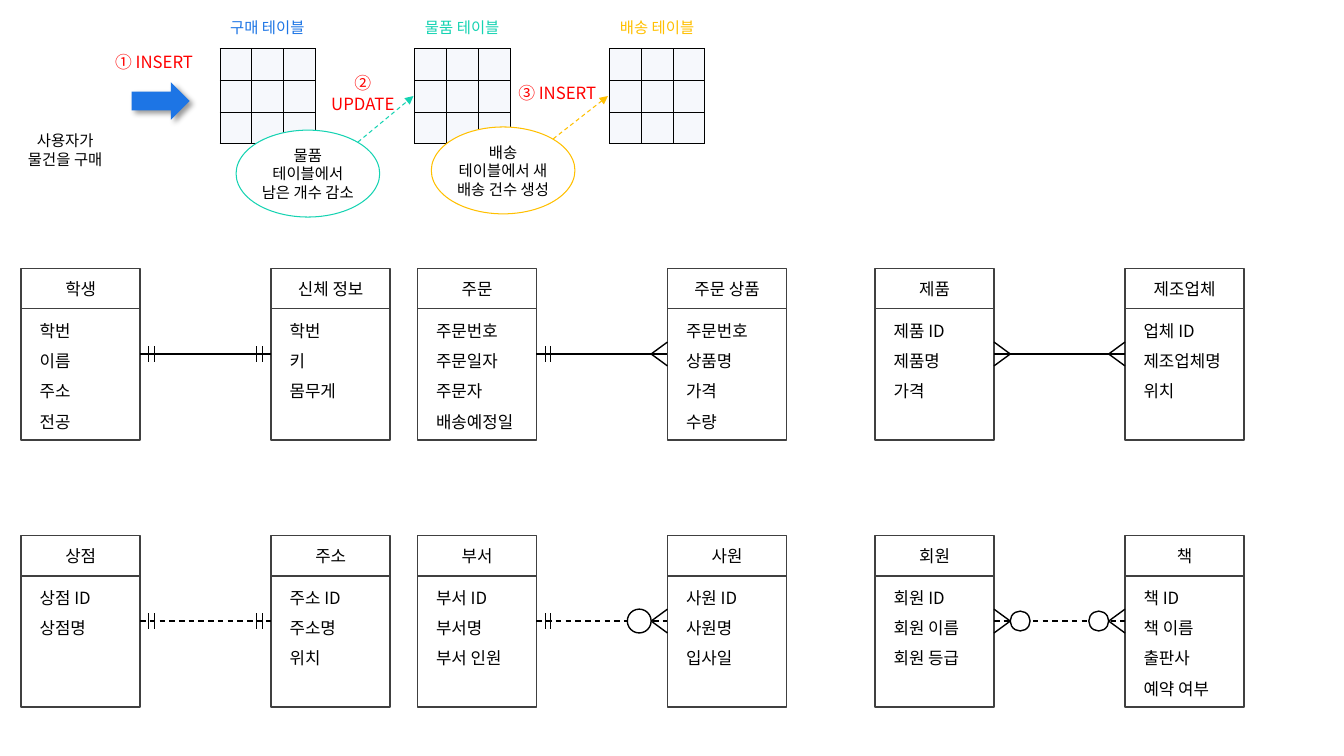
"""Build a slide of a purchase transaction flow and six entity relationships."""
from dataclasses import dataclass

from lxml import etree
from pptx import Presentation
from pptx import util as u
from pptx.dml.color import RGBColor
from pptx.enum import dml, shapes, text
from pptx.oxml.ns import qn


@dataclass(frozen=True)
class Theme:
    """Colours, font and type sizes of the slide."""
    font: str = "Noto Sans CJK KR"
    ink: str = "000000"
    frame: str = "404040"
    paper: str = "FFFFFF"
    cell: str = "F6F8FC"
    blue: str = "1D75E5"
    teal: str = "15D3B2"
    amber: str = "FFC000"
    red: str = "FF0000"
    small: int = 11
    normal: int = 12
    thin: float = 0.75
    line: float = 1


def add_xml(parent, tag, **attributes):
    """Append a DrawingML element and return it."""
    return etree.SubElement(parent, qn(tag), attributes)


class Diagram:
    """Draws styled elements on one slide, with lengths in centimetres."""
    ENTITY_W, ENTITY_H, HEADER_H, LINK_Y = 3.0, 4.33, 1.02, 2.16
    CELL = 0.8

    def __init__(self, slide, theme):
        self.shapes, self.theme = slide.shapes, theme

    def set_lines(self, frame, lines, size, color, align=text.PP_ALIGN.CENTER, spacing=None):
        """Fill a text frame with one paragraph per line."""
        for index, line in enumerate(lines):
            paragraph = frame.add_paragraph() if index else frame.paragraphs[0]
            paragraph.text, paragraph.alignment = line, align
            paragraph.line_spacing = spacing
            self.set_font(paragraph, size, color)

    def set_font(self, paragraph, size, color):
        """Set the Latin and East Asian font of a paragraph."""
        paragraph.font.size = u.Pt(size)
        paragraph.font.color.rgb = RGBColor.from_string(color)
        paragraph.font.name = self.theme.font
        properties = paragraph._p.pPr.find(qn("a:defRPr"))
        add_xml(properties, "a:ea", typeface=self.theme.font)

    def label(self, x, y, w, caption, size, color, wrap=True):
        """Add a centred label."""
        frame = self.shapes.add_textbox(u.Cm(x), u.Cm(y), u.Cm(w), u.Cm(1)).text_frame
        frame.word_wrap, frame.vertical_anchor = wrap, text.MSO_ANCHOR.MIDDLE
        self.set_lines(frame, [caption], size, color)

    def growing_text(self, x, y, h, lines, **style):
        """Add an entity text that fits its box to its lines."""
        frame = self.shapes.add_textbox(u.Cm(x), u.Cm(y), u.Cm(2.57), u.Cm(h)).text_frame
        frame.word_wrap, frame.auto_size = True, text.MSO_AUTO_SIZE.SHAPE_TO_FIT_TEXT
        self.set_lines(frame, lines, self.theme.normal, self.theme.ink, **style)

    def shape(self, kind, x, y, w, h, fill=None, line=None, width=None):
        """Add a preset shape without the default look."""
        shape = self.shapes.add_shape(kind, u.Cm(x), u.Cm(y), u.Cm(w), u.Cm(h))
        shape.shadow.inherit = False
        if fill:
            shape.fill.solid()
            shape.fill.fore_color.rgb = RGBColor.from_string(fill)
        else:
            shape.fill.background()
        if line:
            shape.line.color.rgb = RGBColor.from_string(line)
            shape.line.width = u.Pt(width or self.theme.line)
        else:
            shape.line.fill.background()
        return shape

    def circle(self, x, y, diameter):
        """Add an optional-relationship circle centred on a point."""
        corner = x - diameter / 2, y - diameter / 2
        self.shape(shapes.MSO_SHAPE.OVAL, *corner, diameter, diameter,
                   self.theme.paper, self.theme.ink)

    def line(self, x1, y1, x2, y2, color=None, width=None, dashed=False, arrow=False):
        """Add a straight line, optionally dashed or with an arrowhead."""
        line = self.shapes.add_connector(
            shapes.MSO_CONNECTOR.STRAIGHT, u.Cm(x1), u.Cm(y1), u.Cm(x2), u.Cm(y2))
        line.line.color.rgb = RGBColor.from_string(color or self.theme.ink)
        line.line.width = u.Pt(width or self.theme.line)
        if dashed:
            line.line.dash_style = dml.MSO_LINE.DASH
        if arrow:
            add_xml(line._element.spPr.find(qn("a:ln")), "a:tailEnd", type="triangle")
        add_xml(line._element.spPr, "a:effectLst")

    def grid(self, x, y):
        """Add an empty three-by-three table with thin borders."""
        side = u.Cm(3 * self.CELL)
        table = self.shapes.add_table(3, 3, u.Cm(x), u.Cm(y), side, side).table
        for cell in table.iter_cells():
            cell.margin_left = cell.margin_right = cell.margin_top = cell.margin_bottom = 0
            self.set_lines(cell.text_frame, [""], self.theme.small, self.theme.ink)
            add_xml(cell.text_frame.paragraphs[0]._p, "a:endParaRPr",
                    sz=str(100 * self.theme.small))
            properties = cell._tc.get_or_add_tcPr()
            for edge in ("a:lnL", "a:lnR", "a:lnT", "a:lnB"):
                border = add_xml(properties, edge, w=str(u.Pt(0.5)))
                add_xml(add_xml(border, "a:solidFill"), "a:srgbClr", val=self.theme.ink)
            cell.fill.solid()
            cell.fill.fore_color.rgb = RGBColor.from_string(self.theme.cell)

    def bubble(self, x, y, caption, color):
        """Add an outlined ellipse with a caption."""
        bubble = self.shape(shapes.MSO_SHAPE.OVAL, x, y, 3.62, 2.19,
                            self.theme.paper, color, self.theme.thin)
        frame = bubble.text_frame
        frame.word_wrap, frame.vertical_anchor = True, text.MSO_ANCHOR.MIDDLE
        frame.margin_left = frame.margin_right = frame.margin_top = frame.margin_bottom = 0
        self.set_lines(frame, [caption], self.theme.small, self.theme.ink)

    def block_arrow(self, x, y, w, h):
        """Add a block arrow with a soft shadow."""
        arrow = self.shape(shapes.MSO_SHAPE.RIGHT_ARROW, x, y, w, h, self.theme.blue)
        effects = arrow._element.spPr.find(qn("a:effectLst"))
        shadow = add_xml(effects, "a:outerShdw", blurRad=str(u.Pt(4)), dist=str(u.Pt(3)),
                         dir="2700000", algn="tl", rotWithShape="0")
        tint = add_xml(shadow, "a:srgbClr", val=self.theme.ink)
        add_xml(tint, "a:alpha", val="40000")

    def entity(self, x, y, name, attributes):
        """Add an entity box with its name and attributes."""
        self.shape(shapes.MSO_SHAPE.RECTANGLE, x, y, self.ENTITY_W, self.ENTITY_H,
                   line=self.theme.frame)
        divider = y + self.HEADER_H
        self.line(x, divider, x + self.ENTITY_W, divider, self.theme.frame)
        self.growing_text(x + 0.22, y + 0.13, 0.76, [name])
        self.growing_text(x + 0.22, y + 0.94, 0.26 + 0.77 * len(attributes), attributes,
                          align=text.PP_ALIGN.LEFT, spacing=1.5)

    def link_end(self, x, y, outward, kind, ring):
        """Add bars for one, or a crow's foot for many, with an optional ring."""
        if kind == "one":
            for distance in (0.22, 0.36):
                bar = x + outward * distance
                self.line(bar, y - 0.2, bar, y + 0.2)
        else:
            tip = x + outward * 0.41
            for spread in (-0.3, 0.3):
                self.line(tip, y, x, y + spread)
            if ring:
                self.circle(tip + outward * ring / 2, y, ring)

    def relationship(self, x, y, entities, ends, dashed, ring):
        """Add two entities and the link between them."""
        right = x + 6.3
        for left, (name, attributes) in zip((x, right), entities):
            self.entity(left, y, name, attributes.split(", "))
        start, level = x + self.ENTITY_W, y + self.LINK_Y
        self.line(start, level, right, level, dashed=dashed)
        for edge, outward, kind in zip((start, right), (1, -1), ends):
            self.link_end(edge, level, outward, kind, ring)


THEME = Theme()
TABLES = [("구매 테이블", THEME.blue), ("물품 테이블", THEME.teal), ("배송 테이블", THEME.amber)]
BUBBLES = [
    (5.95, 3.28, "물품 테이블에서 남은 개수 감소", THEME.teal, (9.02, 3.58, 10.42, 2.42)),
    (10.87, 3.2, "배송 테이블에서 새 배송 건수 생성", THEME.amber, (13.94, 3.5, 15.32, 2.42))]
STEPS = [(2.64, 1.07, 2.49, "① INSERT", False), (7.85, 1.85, 2.59, "② UPDATE", True),
         (12.8, 1.85, 2.49, "③ INSERT", False)]
COLUMNS = (0.53, 10.52, 22.05)
RELATIONSHIPS = [
    (6.76, False, [
        ([("학생", "학번, 이름, 주소, 전공"), ("신체 정보", "학번, 키, 몸무게")], ("one", "one"), 0),
        ([("주문", "주문번호, 주문일자, 주문자, 배송예정일"),
          ("주문 상품", "주문번호, 상품명, 가격, 수량")], ("one", "many"), 0),
        ([("제품", "제품 ID, 제품명, 가격"), ("제조업체", "업체 ID, 제조업체명, 위치")],
         ("many", "many"), 0)]),
    (13.49, True, [
        ([("상점", "상점 ID, 상점명"), ("주소", "주소 ID, 주소명, 위치")], ("one", "one"), 0),
        ([("부서", "부서 ID, 부서명, 부서 인원"), ("사원", "사원 ID, 사원명, 입사일")],
         ("one", "many"), 0.6),
        ([("회원", "회원 ID, 회원 이름, 회원 등급"), ("책", "책 ID, 책 이름, 출판사, 예약 여부")],
         ("many", "many"), 0.5)])]


def main():
    """Draw the flow on top and the relationships below, then save."""
    deck = Presentation()
    deck.slide_width, deck.slide_height = u.Cm(33.87), u.Cm(19.05)
    diagram = Diagram(deck.slides.add_slide(deck.slide_layouts[6]), THEME)
    for index, (caption, color) in enumerate(TABLES):
        x = 5.54 + 4.91 * index
        diagram.grid(x, 1.22)
        diagram.label(x, 0.2, 2.4, caption, THEME.small, color, wrap=False)
    diagram.label(0.3, 3.28, 2.69, "사용자가 물건을 구매", THEME.small, THEME.ink)
    diagram.block_arrow(3.32, 2.07, 1.46, 0.95)
    for x, y, caption, color, pointer in BUBBLES:
        diagram.bubble(x, y, caption, color)
        diagram.line(*pointer, color, THEME.thin, dashed=True, arrow=True)
    for x, y, w, caption, wrap in STEPS:
        diagram.label(x, y, w, caption, THEME.normal, THEME.red, wrap)
    for y, dashed, pairs in RELATIONSHIPS:
        for x, (entities, ends, ring) in zip(COLUMNS, pairs):
            diagram.relationship(x, y, entities, ends, dashed, ring)
    deck.save("out.pptx")


if __name__ == "__main__":
    main()
